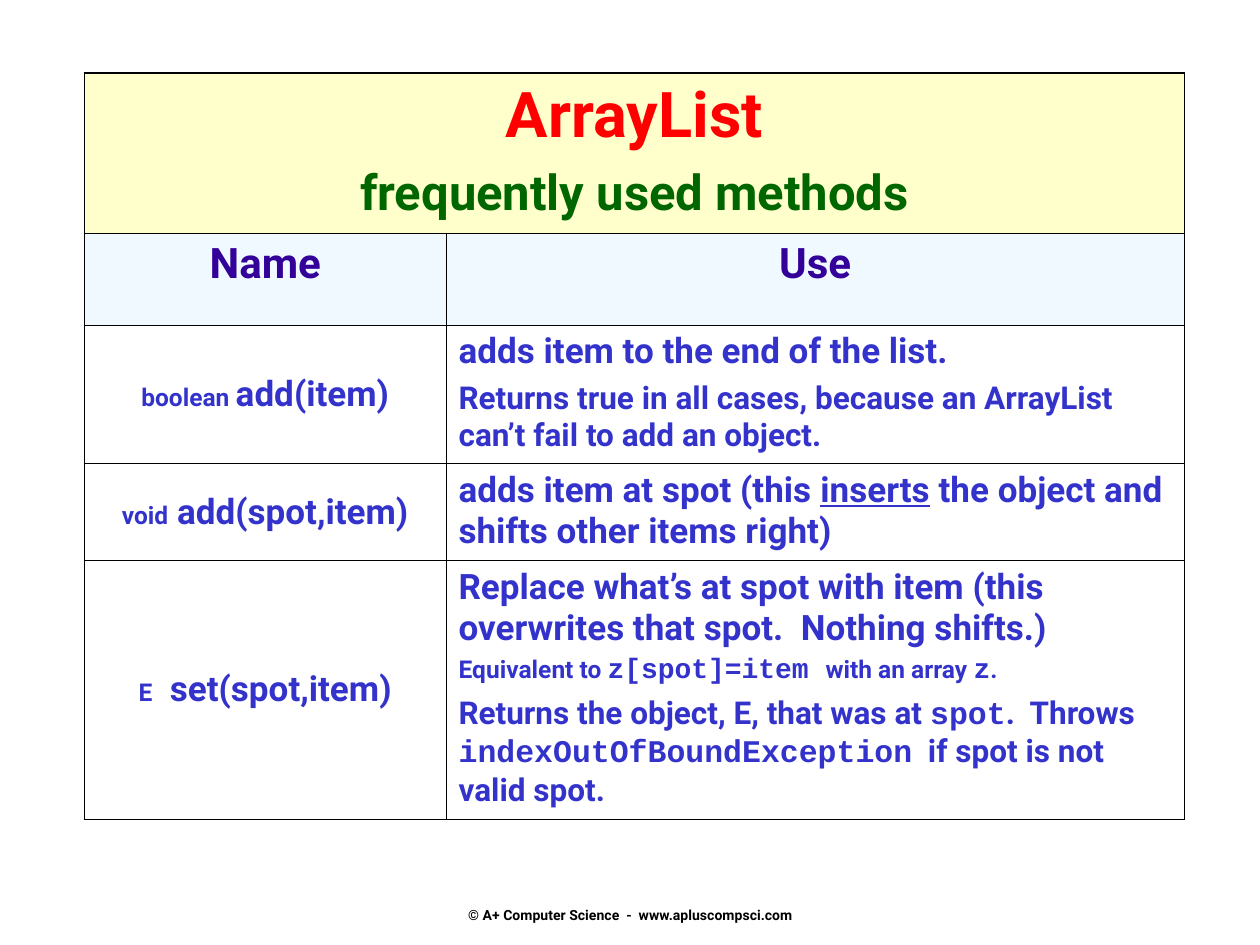
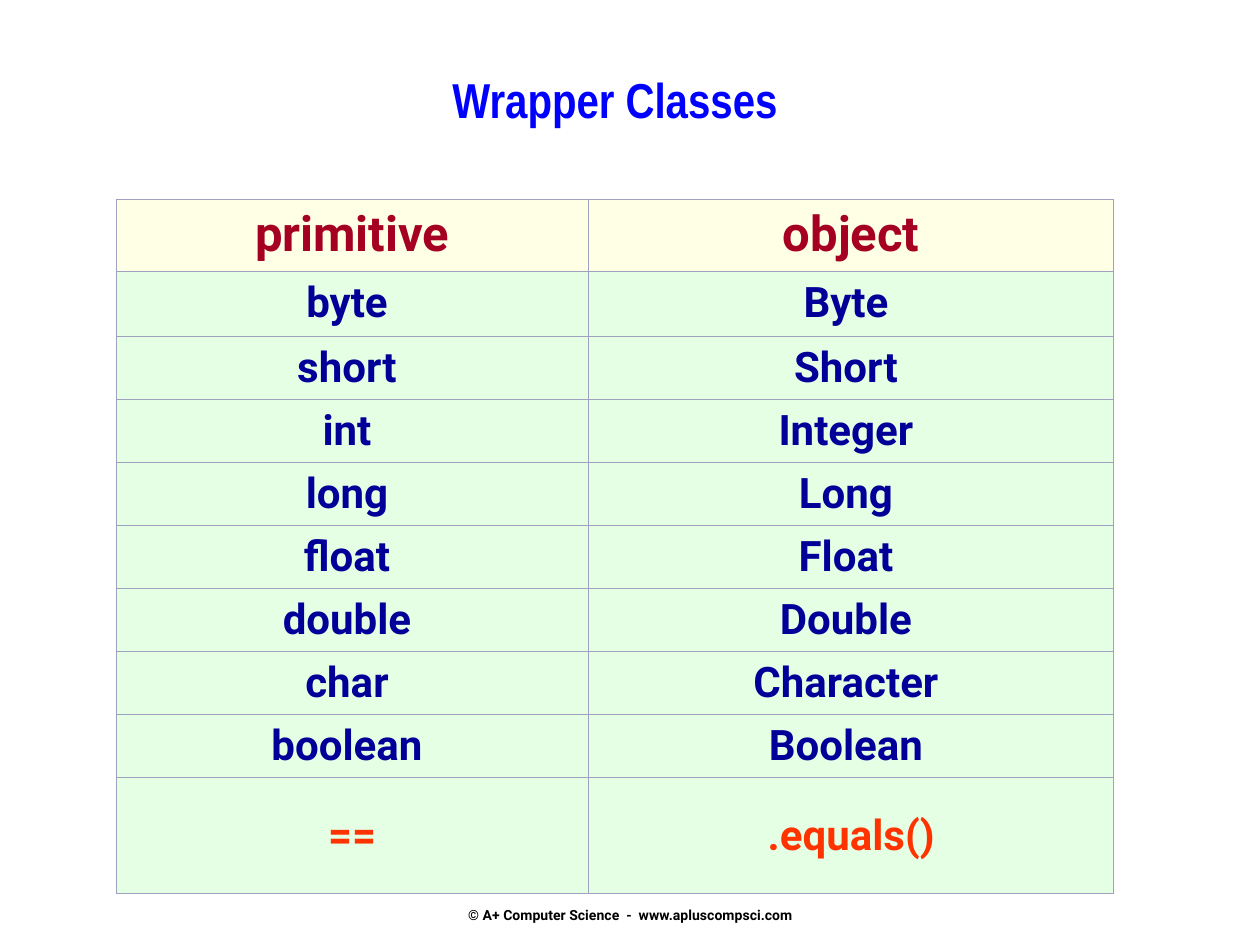
from dataclasses import dataclass

from lxml import etree
from pptx import Presentation, util as u
from pptx.dml import color as colors
from pptx.enum import text as t
from pptx.oxml import ns


@dataclass(frozen=True)
class Theme:
    body_font: str = "Roboto"
    title_font: str = "Arial Narrow"
    code_font: str = "Courier New"
    black: str = "000000"
    title_blue: str = "0000FF"
    red: str = "FF0000"
    green: str = "006600"
    heading_purple: str = "330099"
    method_blue: str = "3333CC"
    heading_maroon: str = "A50021"
    type_navy: str = "000099"
    operator_orange: str = "FF3300"
    cream: str = "FFFFCC"
    ice: str = "E1F4FF"
    mint: str = "CCFFCC"
    grid: str = "A0A0C0"
    banner_size: float = 36
    title_size: float = 28
    heading_size: float = 24
    method_size: float = 20
    detail_size: float = 18
    code_size: float = 16
    return_size: float = 14
    footer_size: float = 8
    thin: float = 0.45
    thick: float = 1.08


THEME = Theme()


@dataclass(frozen=True)
class Span:
    text: str
    size: float
    color: str = THEME.method_blue
    font: str = THEME.body_font
    underline: bool = False


@dataclass(frozen=True)
class Line:
    spans: tuple[Span, ...]
    before: float = 0


@dataclass(frozen=True)
class Entry:
    lines: tuple[Line, ...]
    fill: str | None = None
    alpha: int = 100
    centred: bool = True
    middle: bool = True


@dataclass(frozen=True)
class Grid:
    left: float
    top: float
    columns: tuple[float, ...]
    rows: tuple[float, ...]
    line: str
    outer: float


def write_span(para, text: str, *, size: float, color: str,
               font: str = THEME.body_font, underline: bool = False) -> None:
    span = para.add_run()
    span.text = text
    span.font.name = font
    span.font.size = u.Pt(size)
    span.font.bold = True
    span.font.color.rgb = colors.RGBColor.from_string(color)
    if underline:
        span.font.underline = True


def fill_cell(cell, color: str | None, alpha: int) -> None:
    if color is None:
        cell.fill.background()
        return
    cell.fill.solid()
    cell.fill.fore_color.rgb = colors.RGBColor.from_string(color)
    if alpha < 100:
        tint = cell._tc.tcPr.find(".//" + ns.qn("a:srgbClr"))
        etree.SubElement(tint, ns.qn("a:alpha"), val=str(alpha * 1000))


def border_cell(cell, color: str, widths: dict[str, float]) -> None:
    for position, (side, width) in enumerate(widths.items()):
        edge = etree.Element(ns.qn(f"a:ln{side}"), w=str(u.Pt(width)))
        paint = etree.SubElement(edge, ns.qn("a:solidFill"))
        etree.SubElement(paint, ns.qn("a:srgbClr"), val=color)
        cell._tc.get_or_add_tcPr().insert(position, edge)


def write_cell(cell, entry: Entry) -> None:
    cell.vertical_anchor = (t.MSO_ANCHOR.MIDDLE if entry.middle
                            else t.MSO_ANCHOR.TOP)
    frame = cell.text_frame
    for number, line in enumerate(entry.lines):
        para = frame.add_paragraph() if number else frame.paragraphs[0]
        para.alignment = t.PP_ALIGN.CENTER if entry.centred else t.PP_ALIGN.LEFT
        if line.before:
            para.space_before = u.Pt(line.before)
        for span in line.spans:
            write_span(para, span.text, size=span.size, color=span.color,
                       font=span.font, underline=span.underline)


def draw_table(page, grid: Grid, entries: list[list[Entry]]) -> None:
    table = page.shapes.add_table(
        len(grid.rows), len(grid.columns), u.Inches(grid.left),
        u.Inches(grid.top), u.Inches(sum(grid.columns)),
        u.Inches(sum(grid.rows))).table
    table.first_row = table.horz_banding = False
    for column, width in zip(table.columns, grid.columns):
        column.width = u.Inches(width)
    for row, height in zip(table.rows, grid.rows):
        row.height = u.Inches(height)
    last = len(grid.columns) - 1
    for r, row_entries in enumerate(entries):
        if len(row_entries) == 1:
            table.cell(r, 0).merge(table.cell(r, last))
        for c in range(last + 1):
            cell = table.cell(r, c)
            entry = row_entries[min(c, len(row_entries) - 1)]
            fill_cell(cell, entry.fill, entry.alpha)
            reaches_end = c == last or cell.is_merge_origin
            border_cell(cell, grid.line, {
                "L": THEME.thin if c else grid.outer,
                "R": grid.outer if reaches_end else THEME.thin,
                "T": THEME.thin if r else grid.outer,
                "B": THEME.thin})
            if not cell.is_spanned:
                write_cell(cell, entry)


def draw_footer(page) -> None:
    box = page.shapes.add_textbox(u.Inches(3.42), u.Inches(6.83),
                                  u.Inches(3.17), u.Inches(0.5))
    frame = box.text_frame
    frame.word_wrap = True
    frame.margin_bottom = 0
    frame.vertical_anchor = t.MSO_ANCHOR.BOTTOM
    para = frame.paragraphs[0]
    para.alignment = t.PP_ALIGN.CENTER
    write_span(para, "© A+ Computer Science  -  www.apluscompsci.com",
               size=THEME.footer_size, color=THEME.black)


def write_title(page, text: str) -> None:
    title = page.shapes.title
    title.left, title.top = u.Inches(1.17), u.Inches(0.5)
    title.width, title.height = u.Inches(7.42), u.Inches(0.75)
    frame = title.text_frame
    frame.vertical_anchor = t.MSO_ANCHOR.TOP
    frame.auto_size = t.MSO_AUTO_SIZE.NONE
    para = frame.paragraphs[0]
    para.alignment = t.PP_ALIGN.CENTER
    write_span(para, text, size=THEME.title_size, color=THEME.title_blue,
               font=THEME.title_font)


def method(returns: str, signature: str) -> Entry:
    return Entry((Line((Span(returns, THEME.return_size),
                        Span(signature, THEME.method_size))),))


def usage(*lines: Line) -> Entry:
    return Entry(lines, centred=False, middle=False)


def heading(text: str) -> Entry:
    span = Span(text, THEME.heading_size, THEME.heading_purple)
    return Entry((Line((span,)),), THEME.ice, 50, middle=False)


def type_cell(text: str, color: str = THEME.type_navy,
              size: float = THEME.heading_size,
              fill: str = THEME.mint) -> Entry:
    return Entry((Line((Span(text, size, color),)),), fill, 50)


def build_methods(deck) -> None:
    page = deck.slides.add_slide(deck.slide_layouts[6])
    draw_footer(page)
    main, detail = THEME.method_size, THEME.detail_size
    small, code = THEME.return_size, THEME.code_size
    mono = THEME.code_font
    banner = Entry((
        Line((Span("ArrayList", THEME.banner_size, THEME.red),)),
        Line((Span("frequently used methods", THEME.title_size,
                   THEME.green),), 7),
    ), THEME.cream, middle=False)
    add_use = usage(
        Line((Span("adds item to the end of the list.", main),)),
        Line((Span("Returns true in all cases, because an ArrayList "
                   "can’t fail to add an object.", detail),), 4.5))
    insert_use = usage(Line((
        Span("adds item at spot (this ", main),
        Span("inserts", main, underline=True),
        Span(" the object and shifts other items right)", main))))
    set_use = usage(
        Line((Span("Replace what’s at spot with item (this overwrites "
                   "that spot.  Nothing shifts.)", main),)),
        Line((Span("Equivalent to ", small),
              Span("z[spot]=item ", code, font=mono),
              Span("with an array ", small),
              Span("z", code, font=mono),
              Span(".", small)), 3.5),
        Line((Span("Returns the object, E, that was at ", detail),
              Span("spot", detail, font=mono),
              Span(".  Throws ", detail),
              Span("indexOutOfBoundException", detail, font=mono),
              Span("  if spot is not valid spot.", detail)), 4.5))
    grid = Grid(0.67, 0.58, (2.87, 5.86), (1.27, 0.73, 1.1, 0.77, 2.05),
                THEME.black, THEME.thick)
    draw_table(page, grid, [
        [banner],
        [heading("Name"), heading("Use")],
        [method("boolean ", "add(item)"), add_use],
        [method("void", " add(spot,item)"), insert_use],
        [method("E", "  set(spot,item)"), set_use]])


def build_wrappers(deck) -> None:
    page = deck.slides.add_slide(deck.slide_layouts[5])
    draw_footer(page)
    pairs = [("byte ", "Byte "), ("short ", "Short "), ("int ", "Integer "),
             ("long ", "Long "), ("float ", "Float "),
             ("double ", "Double "), ("char ", "Character "),
             ("boolean ", "Boolean ")]
    entries = [[type_cell(text, THEME.heading_maroon, THEME.title_size,
                          THEME.cream) for text in ("primitive", "object")]]
    entries += [[type_cell(text) for text in pair] for pair in pairs]
    entries.append([type_cell(text, THEME.operator_orange)
                    for text in ("==", ".equals()")])
    rows = (0.57, 0.52) + (0.5,) * (len(pairs) - 1) + (0.92,)
    draw_table(page, Grid(0.92, 1.58, (3.75, 4.17), rows, THEME.grid,
                          THEME.thin), entries)
    write_title(page, "Wrapper Classes")


def main() -> None:
    deck = Presentation()
    deck.slide_width, deck.slide_height = u.Inches(10), u.Inches(7.5)
    build_methods(deck)
    build_wrappers(deck)
    deck.save("out.pptx")


if __name__ == "__main__":
    main()
